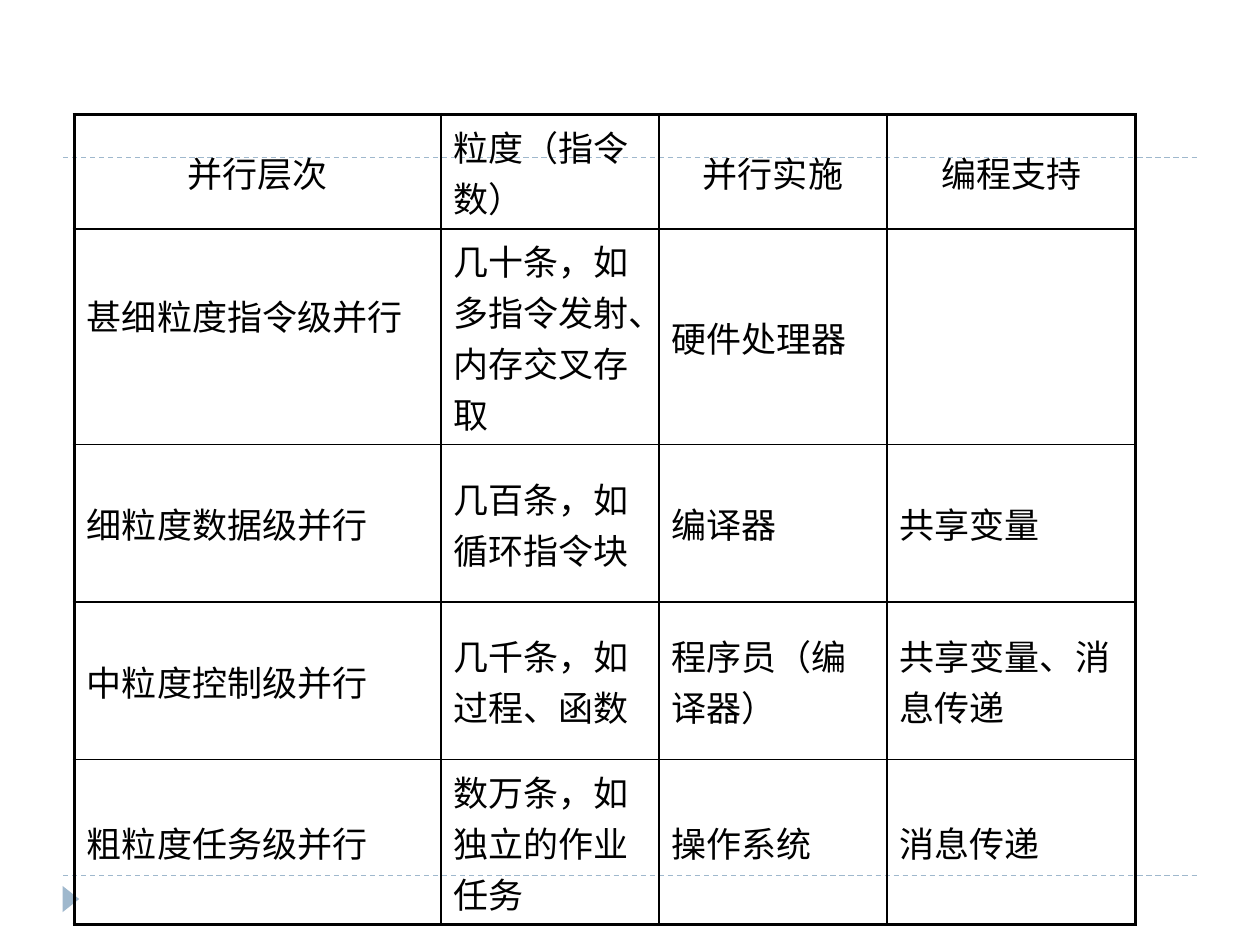
"""Build a slide with a table of parallelism levels by granularity."""
from dataclasses import dataclass

from lxml import etree
from pptx import Presentation
from pptx import util as u
from pptx.dml.color import RGBColor
from pptx.enum import dml, lang, shapes, text
from pptx.oxml.ns import qn


@dataclass(frozen=True)
class Theme:
    ink: str = "000000"
    accent: str = "9FB8CD"
    font: str = "Comic Neue"
    body_size: float = 20
    space_before_percent: int = 20
    guide_width: float = 0.75
    inner_border: float = 1
    outer_border: float = 2.25


@dataclass(frozen=True)
class Level:
    name: str
    granularity: str
    implementation: str
    support: str
    name_bottom_margin: float = 3.6

    def entries(self) -> tuple[str, ...]:
        return self.name, self.granularity, self.implementation, self.support


THEME = Theme()
HEADING = Level("并行层次", "粒度（指令数）", "并行实施", "编程支持")
LEVELS = (
    HEADING,
    Level("甚细粒度指令级并行", "几十条，如多指令发射、内存交叉存取", "硬件处理器", "",
          name_bottom_margin=28),
    Level("细粒度数据级并行", "几百条，如循环指令块", "编译器", "共享变量"),
    Level("中粒度控制级并行", "几千条，如过程、函数", "程序员（编译器）", "共享变量、消息传递"),
    Level("粗粒度任务级并行", "数万条，如独立的作业任务", "操作系统", "消息传递"),
)
COLUMN_WIDTHS = (209.5, 124.5, 130.5, 142)
ROW_HEIGHTS = (56, 103, 90, 90, 90)
GUIDE_HEIGHTS = (500.4, 90)


def write_text(frame, content: str, *, size: float = THEME.body_size,
               color: str = THEME.ink, align=text.PP_ALIGN.LEFT) -> None:
    paragraph = frame.paragraphs[0]
    paragraph.alignment = align
    spacing = etree.SubElement(paragraph._p.get_or_add_pPr(), qn("a:spcBef"))
    etree.SubElement(spacing, qn("a:spcPct"),
                     val=str(THEME.space_before_percent * 1000))
    run = paragraph.add_run()
    run.text = content
    run.font.size = u.Pt(size)
    run.font.name = THEME.font
    run.font.language_id = lang.MSO_LANGUAGE_ID.SIMPLIFIED_CHINESE
    run.font.color.rgb = RGBColor.from_string(color)


def set_borders(cell, outer_sides: dict[str, bool]) -> None:
    properties = cell._tc.get_or_add_tcPr()
    for side, is_outer in outer_sides.items():
        width = THEME.outer_border if is_outer else THEME.inner_border
        border = etree.SubElement(properties, qn(f"a:ln{side}"), w=str(u.Pt(width)))
        fill = etree.SubElement(border, qn("a:solidFill"))
        etree.SubElement(fill, qn("a:srgbClr"), val=THEME.ink)


def draw_guide(slide, y: float) -> None:
    guide = slide.shapes.add_connector(
        shapes.MSO_CONNECTOR.STRAIGHT, u.Pt(36), u.Pt(y), u.Pt(684), u.Pt(y))
    guide.line.color.rgb = RGBColor.from_string(THEME.accent)
    guide.line.width = u.Pt(THEME.guide_width)
    guide.line.dash_style = dml.MSO_LINE.DASH
    etree.SubElement(guide._element.spPr, qn("a:effectLst"))


def draw_page_marker(slide) -> None:
    marker = slide.shapes.add_shape(
        shapes.MSO_SHAPE.ISOSCELES_TRIANGLE,
        u.Pt(33), u.Pt(509), u.Pt(15), u.Pt(9.5))
    marker.rotation = 90
    marker.shadow.inherit = False
    marker.fill.solid()
    marker.fill.fore_color.rgb = RGBColor.from_string(THEME.accent)
    marker.line.fill.background()


def draw_levels(slide) -> None:
    table = slide.shapes.add_table(
        len(LEVELS), len(COLUMN_WIDTHS), u.Pt(42.5), u.Pt(65.5),
        u.Pt(sum(COLUMN_WIDTHS)), u.Pt(sum(ROW_HEIGHTS))).table
    table.first_row = table.horz_banding = False
    for column, width in zip(table.columns, COLUMN_WIDTHS):
        column.width = u.Pt(width)
    for row, height in zip(table.rows, ROW_HEIGHTS):
        row.height = u.Pt(height)
    last_row, last_column = len(LEVELS) - 1, len(COLUMN_WIDTHS) - 1
    for r, level in enumerate(LEVELS):
        for c, entry in enumerate(level.entries()):
            cell = table.cell(r, c)
            cell.vertical_anchor = text.MSO_ANCHOR.MIDDLE
            if c == 0:
                cell.margin_bottom = u.Pt(level.name_bottom_margin)
            set_borders(cell, {"L": c == 0, "R": c == last_column,
                               "T": r == 0, "B": r == last_row})
            cell.fill.background()
            if entry:
                centred = level is HEADING and c != 1
                write_text(cell.text_frame, entry,
                           align=text.PP_ALIGN.CENTER if centred else text.PP_ALIGN.LEFT)


def main() -> None:
    deck = Presentation()
    deck.slide_width, deck.slide_height = u.Pt(720), u.Pt(540)
    slide = deck.slides.add_slide(deck.slide_layouts[6])
    for y in GUIDE_HEIGHTS:
        draw_guide(slide, y)
    draw_page_marker(slide)
    draw_levels(slide)
    deck.save("out.pptx")


if __name__ == "__main__":
    main()
